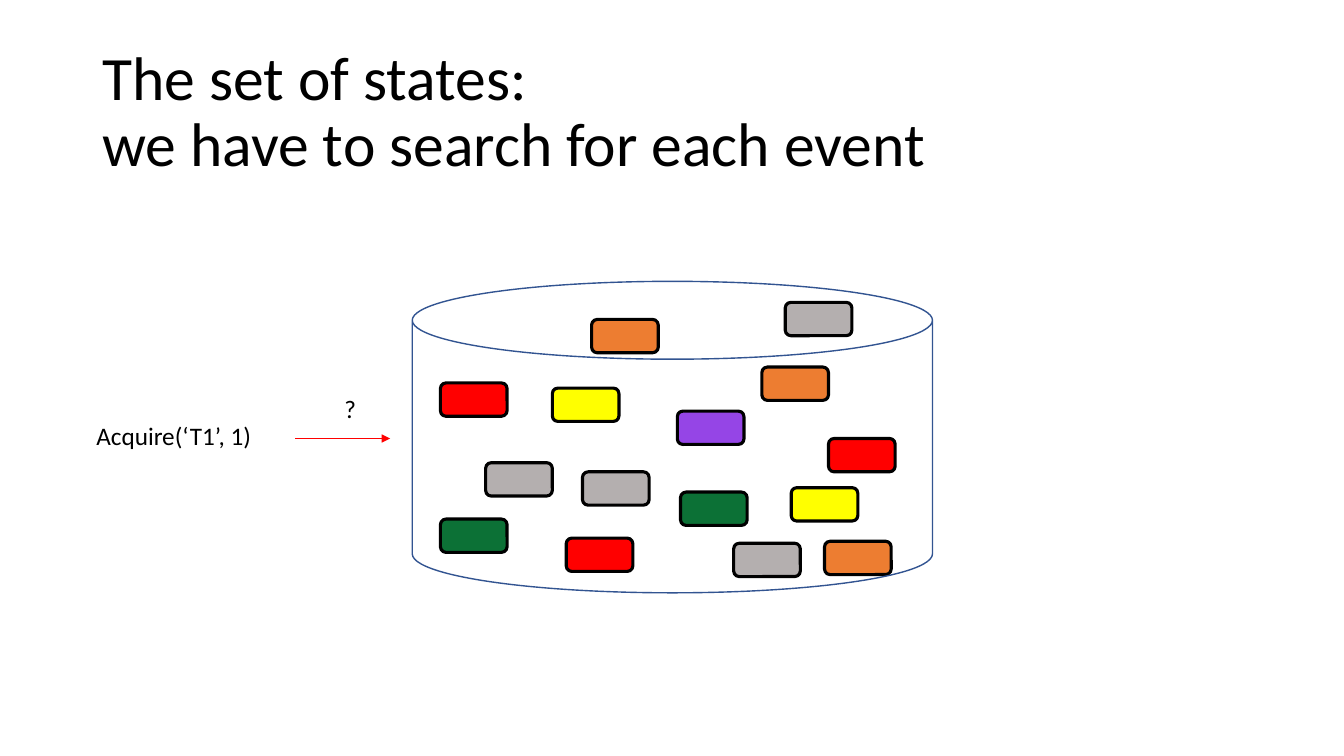
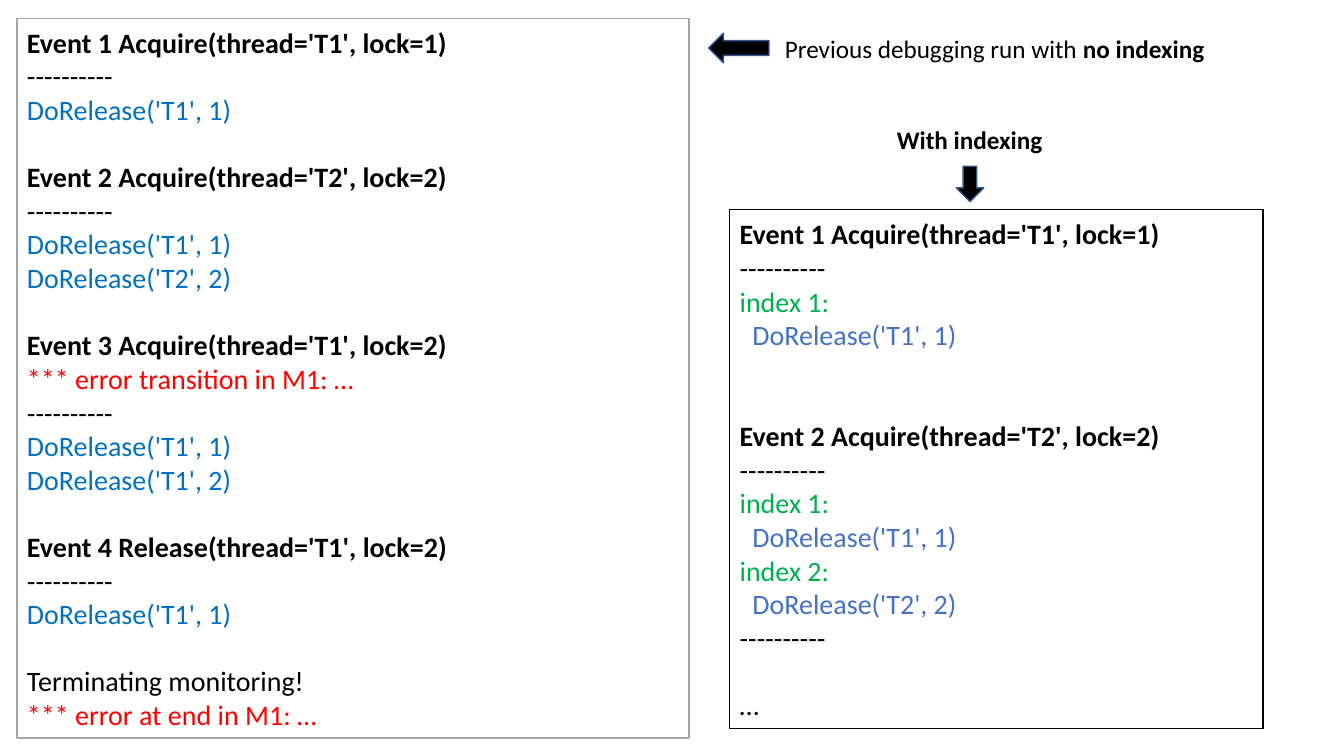
import pptx
import pptx.util
import pptx.dml.color
import pptx.enum.shapes
import pptx.enum.text
import pptx.oxml
from dataclasses import dataclass

Cm, Pt = pptx.util.Cm, pptx.util.Pt
SHAPE = pptx.enum.shapes.MSO_SHAPE
ANCHOR = pptx.enum.text.MSO_ANCHOR
ALIGN = pptx.enum.text.PP_ALIGN


@dataclass(frozen=True)
class Theme:
    font: str = "Calibri"
    title_size: float = 44
    label_size: float = 18
    log_size: float = 20
    log_line: float = 24      # height of one log line, in points
    log_indent: float = 0.32  # in cm
    black: str = "000000"
    white: str = "FFFFFF"
    red: str = "FF0000"
    yellow: str = "FFFF00"
    purple: str = "9545E6"
    orange: str = "ED7D31"
    green: str = "0C7136"
    gray: str = "B4AFAF"
    outline: str = "325491"
    frame: str = "A5A5A5"
    state: str = "0070C0"
    indexed: str = "4472C4"
    index: str = "00B050"


THEME = Theme()

# Content: slide 1 (positions in cm)
TITLE = "The set of states:\nwe have to search for each event"
TITLE_AREA = (2.33, 1.02, 29.21, 3.68)
EVENT = ("Acquire(‘T1’, 1)", (2.18, 10.46, 4.47, 1.02))
QUESTION = ("?", (8.43, 9.78, 0.81, 1.02))
SEARCH_ARROW = (7.44, 9.83, 11.05)  # from x, to x, y
STORE_AREA = (10.39, 7.09, 13.11, 7.85)
STATE_SIZE = (1.68, 0.84)
STATES = {
    THEME.red: [(11.1, 9.65), (20.88, 11.05), (14.27, 13.56)],
    THEME.purple: [(17.07, 10.36)],
    THEME.yellow: [(13.92, 9.78), (19.94, 12.29)],
    THEME.green: [(17.15, 12.4), (11.1, 13.08)],
    THEME.gray: [(12.24, 11.66), (18.49, 13.69), (14.68, 11.89), (19.79, 7.62)],
    THEME.orange: [(14.91, 8.05), (19.2, 9.25), (20.78, 13.64)],
}

# Content: slide 2, log lines as (kind, text, empty lines above)
RULE = ("plain", "----------", 0)
PLAIN_LOG = [
    ("event", "Event 1 Acquire(thread='T1', lock=1)", 0),
    RULE,
    ("state", "DoRelease('T1', 1)", 0),
    ("event", "Event 2 Acquire(thread='T2', lock=2)", 1),
    RULE,
    ("state", "DoRelease('T1', 1)", 0),
    ("state", "DoRelease('T2', 2)", 0),
    ("event", "Event 3 Acquire(thread='T1', lock=2)", 1),
    ("error", "*** error transition in M1: …", 0),
    RULE,
    ("state", "DoRelease('T1', 1)", 0),
    ("state", "DoRelease('T1', 2)", 0),
    ("event", "Event 4 Release(thread='T1', lock=2)", 1),
    RULE,
    ("state", "DoRelease('T1', 1)", 0),
    ("plain", "Terminating monitoring!", 1),
    ("error", "*** error at end in M1: …", 0),
]
INDEXED_LOG = [
    ("event", "Event 1 Acquire(thread='T1', lock=1)", 0),
    RULE,
    ("index", "index 1:", 0),
    ("indexed", "DoRelease('T1', 1)", 0),
    ("event", "Event 2 Acquire(thread='T2', lock=2)", 2),
    RULE,
    ("index", "index 1:", 0),
    ("indexed", "DoRelease('T1', 1)", 0),
    ("index", "index 2:", 0),
    ("indexed", "DoRelease('T2', 2)", 0),
    RULE,
    ("plain", "…", 1),
]
LOG_STYLES = {
    "event": dict(color=THEME.black, bold=True),
    "plain": dict(color=THEME.black),
    "error": dict(color=THEME.red),
    "state": dict(color=THEME.state),
    "index": dict(color=THEME.index),
    "indexed": dict(color=THEME.indexed, indent=THEME.log_indent),
}
LOGS = [  # lines, area, border
    (INDEXED_LOG, (18.39, 5.28, 13.44, 13.08), THEME.black),
    (PLAIN_LOG, (0.43, 0.46, 16.94, 18.14), THEME.frame),
]
LOG_ARROWS = [
    (SHAPE.LEFT_ARROW, (17.86, 0.84, 1.52, 0.74)),
    (SHAPE.DOWN_ARROW, (24.1, 4.19, 0.69, 0.89)),
]
INDEXING_LABEL = ("With indexing", (22.35, 3.0, 4.22, 1.02))
PREVIOUS_LABEL = ("Previous debugging run with ", "no indexing")
PREVIOUS_AREA = (19.53, 0.71, 11.15, 1.02)


# Helpers
def rgb(color):
    return pptx.dml.color.RGBColor.from_string(color)


def write(paragraph, text, size=THEME.label_size, color=THEME.black, bold=False,
          before=0, indent=0, spacing=None):
    """Add formatted text to a paragraph; a newline becomes a line break."""
    paragraph.alignment = ALIGN.LEFT
    if before:
        paragraph.space_before = Pt(before)
    if indent:
        paragraph._p.get_or_add_pPr().set("marL", str(Cm(indent)))
    if spacing:
        paragraph.line_spacing = spacing
    for number, line in enumerate(text.split("\n")):
        if number:
            paragraph.add_line_break()
        run = paragraph.add_run()
        run.text = line
        run.font.name = THEME.font
        run.font.size = Pt(size)
        run.font.bold = bold
        run.font.color.rgb = rgb(color)


def add_label(slide, area, wrap=False, anchor=ANCHOR.TOP):
    """Add an empty text box and return its first paragraph."""
    frame = slide.shapes.add_textbox(*map(Cm, area)).text_frame
    frame.word_wrap = wrap
    frame.vertical_anchor = anchor
    return frame.paragraphs[0]


def add_figure(slide, preset, area, fill, line, width=1):
    figure = slide.shapes.add_shape(preset, *map(Cm, area))
    figure.shadow.inherit = False
    if fill:
        figure.fill.solid()
        figure.fill.fore_color.rgb = rgb(fill)
    else:
        figure.fill.background()
    figure.line.color.rgb = rgb(line)
    figure.line.width = Pt(width)
    return figure


def add_arrow(slide, start_x, end_x, y, color, width):
    arrow = slide.shapes.add_connector(
        pptx.enum.shapes.MSO_CONNECTOR.STRAIGHT, Cm(start_x), Cm(y), Cm(end_x), Cm(y))
    arrow.line.color.rgb = rgb(color)
    arrow.line.width = Pt(width)
    namespace = pptx.oxml.ns.nsdecls("a")
    arrow.line._get_or_add_ln().append(
        pptx.oxml.parse_xml(f'<a:tailEnd {namespace} type="triangle"/>'))
    arrow._element.spPr.append(pptx.oxml.parse_xml(f"<a:effectLst {namespace}/>"))


def add_log(slide, lines, area, border):
    frame = add_figure(slide, SHAPE.RECTANGLE, area, THEME.white, border).text_frame
    frame.word_wrap = True
    frame.vertical_anchor = ANCHOR.MIDDLE
    for number, (kind, text, gap) in enumerate(lines):
        paragraph = frame.add_paragraph() if number else frame.paragraphs[0]
        write(paragraph, text, size=THEME.log_size, before=gap * THEME.log_line,
              **LOG_STYLES[kind])


# Slides
def build_states(slide):
    write(add_label(slide, TITLE_AREA, wrap=True, anchor=ANCHOR.MIDDLE),
          TITLE, size=THEME.title_size, spacing=0.9)
    for color, places in STATES.items():
        for place in places:
            add_figure(slide, SHAPE.ROUNDED_RECTANGLE, place + STATE_SIZE,
                       color, THEME.black, width=2.25)
    add_figure(slide, SHAPE.CAN, STORE_AREA, None, THEME.outline)
    add_arrow(slide, *SEARCH_ARROW, color=THEME.red, width=0.75)
    for text, area in (EVENT, QUESTION):
        write(add_label(slide, area), text)


def build_logs(slide):
    for lines, area, border in LOGS:
        add_log(slide, lines, area, border)
    text, area = INDEXING_LABEL
    write(add_label(slide, area), text, bold=True)
    previous = add_label(slide, PREVIOUS_AREA)
    for text, bold in zip(PREVIOUS_LABEL, (False, True)):
        write(previous, text, bold=bold)
    for preset, area in LOG_ARROWS:
        add_figure(slide, preset, area, THEME.black, THEME.outline)


def main():
    deck = pptx.Presentation()
    deck.slide_width, deck.slide_height = Cm(33.87), Cm(19.05)
    for build in (build_states, build_logs):
        build(deck.slides.add_slide(deck.slide_layouts[6]))
    deck.save("out.pptx")


if __name__ == "__main__":
    main()
